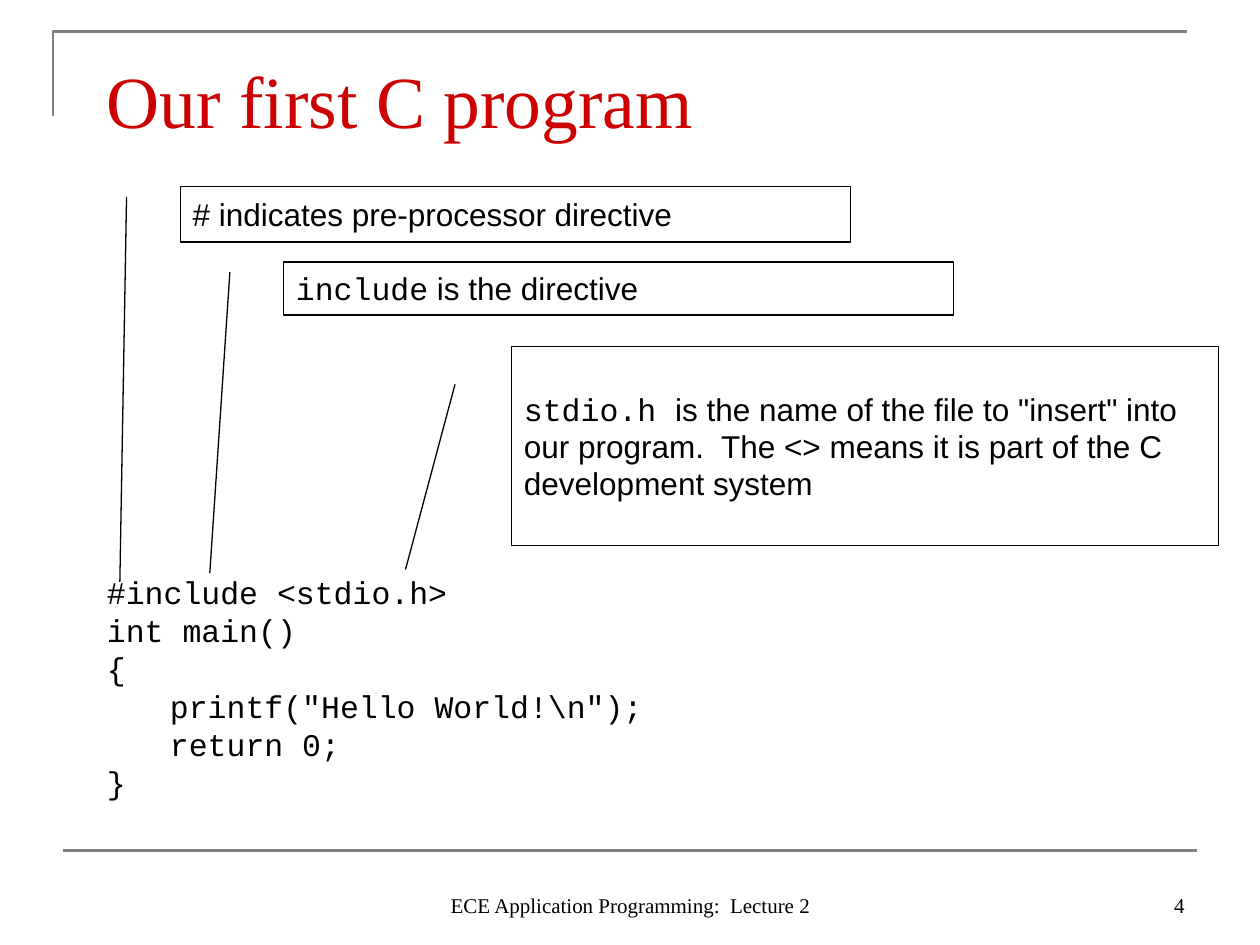
"""Build a slide that explains the include line of a first C program."""
from lxml.etree import SubElement
from pptx import Presentation
from pptx.dml.color import RGBColor
from pptx.enum.shapes import MSO_CONNECTOR, MSO_SHAPE
from pptx.enum.text import MSO_ANCHOR, PP_ALIGN
from pptx.oxml.ns import qn
from pptx.util import Inches, Pt

SERIF, SANS, MONO = "Times New Roman", "Arial", "Courier New"
BLACK, GREY, RED = "000000", "808080", "CC0000"
TITLE = "Our first C program"
FOOTER = "ECE Application Programming:  Lecture 2"
PAGE_NUMBER = "4"
CODE = """#include <stdio.h>
int main()
{
\tprintf("Hello World!\\n");
\treturn 0;
}"""
CALLOUTS = [
    ((1.43, 1.48, 5.32, 0.44), (7.13, -0.09),
     [("# indicates pre-processor directive", SANS)]),
    ((2.25, 2.08, 5.32, 0.42), (5.88, -0.11),
     [("include", MONO), (" is the directive", SANS)]),
    ((4.06, 2.75, 5.61, 1.58), (1.12, -0.15),
     [("stdio.h ", MONO),
      ('is the name of the file to "insert" into our program.  '
       "The <> means it is part of the C development system", SANS)]),
]
CALLOUT_START = (0.19, -0.08)
WIDTH, HEIGHT = 10, 7.5
FOOTER_TOP, FOOTER_HEIGHT = 6.83, 0.5


def color(value):
    """Turn a hex string into a colour."""
    return RGBColor.from_string(value)


def write(box, spans, size=18, fill=BLACK, align=PP_ALIGN.LEFT,
          anchor=MSO_ANCHOR.MIDDLE, leading=None):
    """Fill a box with one paragraph of (text, font) spans."""
    frame = box.text_frame
    frame.word_wrap = True
    frame.vertical_anchor = anchor
    para = frame.paragraphs[0]
    para.alignment = align
    if leading:
        para.line_spacing = Pt(leading)
    for text, font in spans:
        for number, line in enumerate(text.split("\n")):
            if number:
                para.add_line_break()
            span = para.add_run()
            span.text = line
            span.font.name = font
            span.font.size = Pt(size)
            span.font.color.rgb = color(fill)


def add_text(page, text, place, font=SERIF, **style):
    """Add a text box in a single font."""
    box = page.shapes.add_textbox(*map(Inches, place))
    write(box, [(text, font)], **style)


def add_callout(page, place, target, spans):
    """Add a bordered note whose leader ends at target, as shares of its size."""
    box = page.shapes.add_shape(MSO_SHAPE.LINE_CALLOUT_1, *map(Inches, place))
    for number, share in enumerate(CALLOUT_START + target):
        box.adjustments[number] = share
    box.shadow.inherit = False
    box.fill.background()
    box.line.color.rgb = color(BLACK)
    box.line.width = Pt(0.75)
    write(box, spans, leading=21.4)


def add_frame(page):
    """Draw the grey corner at the top and the rule above the footer."""
    builder = page.shapes.build_freeform(Inches(0.42), Inches(0.92))
    builder.add_line_segments(
        [(Inches(0.42), Inches(0.25)), (Inches(9.42), Inches(0.25))], close=False)
    corner = builder.convert_to_shape()
    corner.shadow.inherit = False
    corner.fill.background()
    rule = page.shapes.add_connector(
        MSO_CONNECTOR.STRAIGHT, *map(Inches, (0.5, 6.75, 9.5, 6.75)))
    SubElement(rule.line._get_or_add_ln().getparent(), qn("a:effectLst"))
    for shape in (corner, rule):
        shape.line.color.rgb = color(GREY)
        shape.line.width = Pt(1.5)


def main():
    """Build and save the deck."""
    deck = Presentation()
    deck.slide_width, deck.slide_height = Inches(WIDTH), Inches(HEIGHT)
    page = deck.slides.add_slide(deck.slide_layouts[6])
    add_frame(page)
    add_text(page, TITLE, (0.75, 0.33, 8.5, 0.92), size=42, fill=RED)
    add_text(page, CODE, (0.75, 4.5, 8.58, 1.9), font=MONO,
             anchor=MSO_ANCHOR.TOP, leading=21.7)
    for place, target, spans in CALLOUTS:
        add_callout(page, place, target, spans)
    for text, left, width, align in (
            (FOOTER, 3.42, 3.17, PP_ALIGN.CENTER),
            (PAGE_NUMBER, 7.17, 2.33, PP_ALIGN.RIGHT)):
        add_text(page, text, (left, FOOTER_TOP, width, FOOTER_HEIGHT),
                 size=12, align=align, anchor=MSO_ANCHOR.BOTTOM)
    deck.save("out.pptx")


if __name__ == "__main__":
    main()
